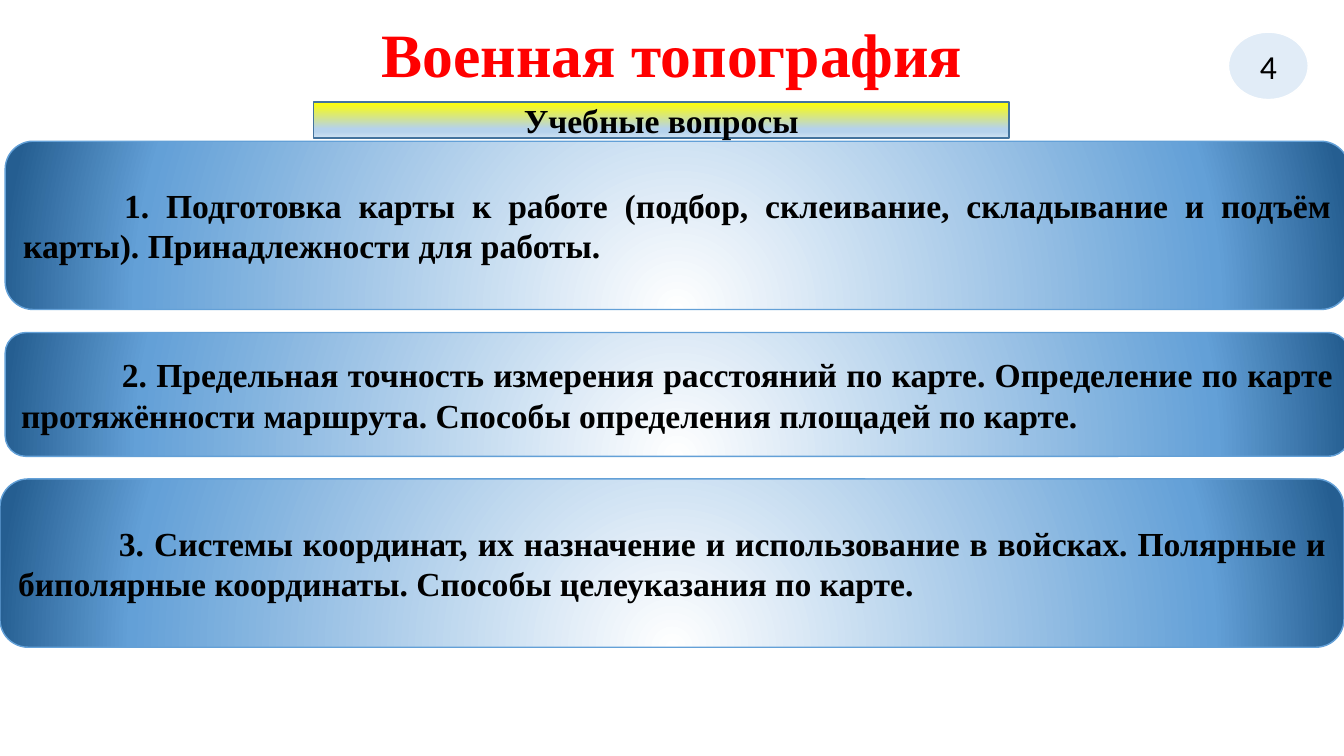
from dataclasses import dataclass

from pptx import Presentation
from pptx import util as u
from pptx.dml.color import RGBColor
from pptx.enum import shapes, text
from pptx.oxml import parse_xml
from pptx.oxml.ns import nsdecls, qn

COLORS = {
    "title": "FF0000",
    "text": "000000",
    "badge": "5B9BD5",
    "badge_line": "FFFFFF",
    "heading_line": "43739E",
    "panel_line": "63A0D7",
}
SERIF = "Times New Roman"
PANEL_STOPS = [(0, "FFFFFF"), (80, "63A0D7"), (100, "255E91")]
PANEL_SHADE = ('<a:path path="circle"><a:fillToRect l="50000" t="130000" '
               'r="50000" b="-30000"/></a:path>')
HEADING_STOPS = [(0, "FFFF00"), (74, "B5D2EC"), (83, "B5D2EC"), (100, "CEE1F2")]
HEADING_SHADE = '<a:lin ang="5400000" scaled="0"/>'


@dataclass
class Question:
    left: float
    top: float
    height: float
    wording: str


QUESTIONS = [
    Question(0.13, 3.56, 4.24,
             "1. Подготовка карты к работе (подбор, склеивание, складывание и "
             "подъём карты). Принадлежности для работы."),
    Question(0.13, 8.38, 3.12,
             "2. Предельная точность измерения расстояний по карте. Определение "
             "по карте протяжённости маршрута. Способы определения площадей по карте."),
    Question(0, 12.07, 4.24,
             "3. Системы координат, их назначение и использование в войсках. "
             "Полярные и биполярные координаты. Способы целеуказания по карте."),
]


def add_box(slide, kind, left: float, top: float, width: float, height: float,
            line: str):
    box = slide.shapes.add_shape(kind, u.Cm(left), u.Cm(top), u.Cm(width), u.Cm(height))
    box.shadow.inherit = False
    box.line.color.rgb = RGBColor.from_string(COLORS[line])
    box.line.width = u.Pt(1)
    return box


def set_gradient(box, stops: list[tuple[int, str]], shade: str) -> None:
    """Fill the box with colour stops; shade is the XML of its direction."""
    stop_xml = "".join(
        f'<a:gs pos="{place * 1000}"><a:srgbClr val="{color}"/></a:gs>'
        for place, color in stops)
    box.fill.gradient()
    properties = box.element.spPr
    properties.replace(
        properties.find(qn("a:gradFill")),
        parse_xml(f'<a:gradFill rotWithShape="1" {nsdecls("a")}>'
                  f"<a:gsLst>{stop_xml}</a:gsLst>{shade}</a:gradFill>"))


def write(box, wording: str, align, size: float = 24, font: str = SERIF,
          color: str = "text", bold: bool = True):
    frame = box.text_frame
    frame.word_wrap = True
    frame.vertical_anchor = text.MSO_ANCHOR.MIDDLE
    para = frame.paragraphs[0]
    para.alignment = align
    span = para.add_run()
    span.text = wording
    span.font.size = u.Pt(size)
    span.font.name = font
    span.font.bold = bold
    span.font.color.rgb = RGBColor.from_string(COLORS[color])
    return para


def add_title(slide) -> None:
    title = slide.shapes.title
    title.left, title.top = u.Cm(2.34), u.Cm(0.2)
    title.width, title.height = u.Cm(29.21), u.Cm(4.09)
    para = write(title, "Военная топография", text.PP_ALIGN.CENTER, 44, color="title")
    para.line_spacing = 0.9
    title.text_frame.vertical_anchor = text.MSO_ANCHOR.TOP
    title.text_frame.margin_top = u.Cm(0.42)
    title.text_frame.auto_size = text.MSO_AUTO_SIZE.NONE


def add_page_badge(slide) -> None:
    badge = add_box(slide, shapes.MSO_SHAPE.OVAL, 30.96, 0.81, 2.01, 1.7, "badge_line")
    badge.fill.solid()
    badge.fill.fore_color.rgb = RGBColor.from_string(COLORS["badge"])
    tint = badge.element.spPr.find(qn("a:solidFill")).find(qn("a:srgbClr"))
    tint.append(parse_xml(f'<a:alpha val="18000" {nsdecls("a")}/>'))
    write(badge, "4", text.PP_ALIGN.CENTER, font="Calibri", bold=False)


def add_heading(slide) -> None:
    heading = add_box(slide, shapes.MSO_SHAPE.RECTANGLE, 7.9, 2.57, 17.53, 0.91,
                      "heading_line")
    set_gradient(heading, HEADING_STOPS, HEADING_SHADE)
    write(heading, "Учебные вопросы", text.PP_ALIGN.CENTER)


def add_question(slide, question: Question) -> None:
    panel = add_box(slide, shapes.MSO_SHAPE.ROUNDED_RECTANGLE, question.left,
                    question.top, 33.87, question.height, "panel_line")
    set_gradient(panel, PANEL_STOPS, PANEL_SHADE)
    para = write(panel, question.wording, text.PP_ALIGN.JUSTIFY)
    para._p.get_or_add_pPr().set("indent", str(u.Cm(2.54)))


def main() -> None:
    deck = Presentation()
    deck.slide_width, deck.slide_height = u.Cm(33.87), u.Cm(19.05)
    slide = deck.slides.add_slide(deck.slide_layouts.get_by_name("Title Only"))
    add_title(slide)
    add_page_badge(slide)
    add_heading(slide)
    for question in QUESTIONS:
        add_question(slide, question)
    deck.save("out.pptx")


if __name__ == "__main__":
    main()
